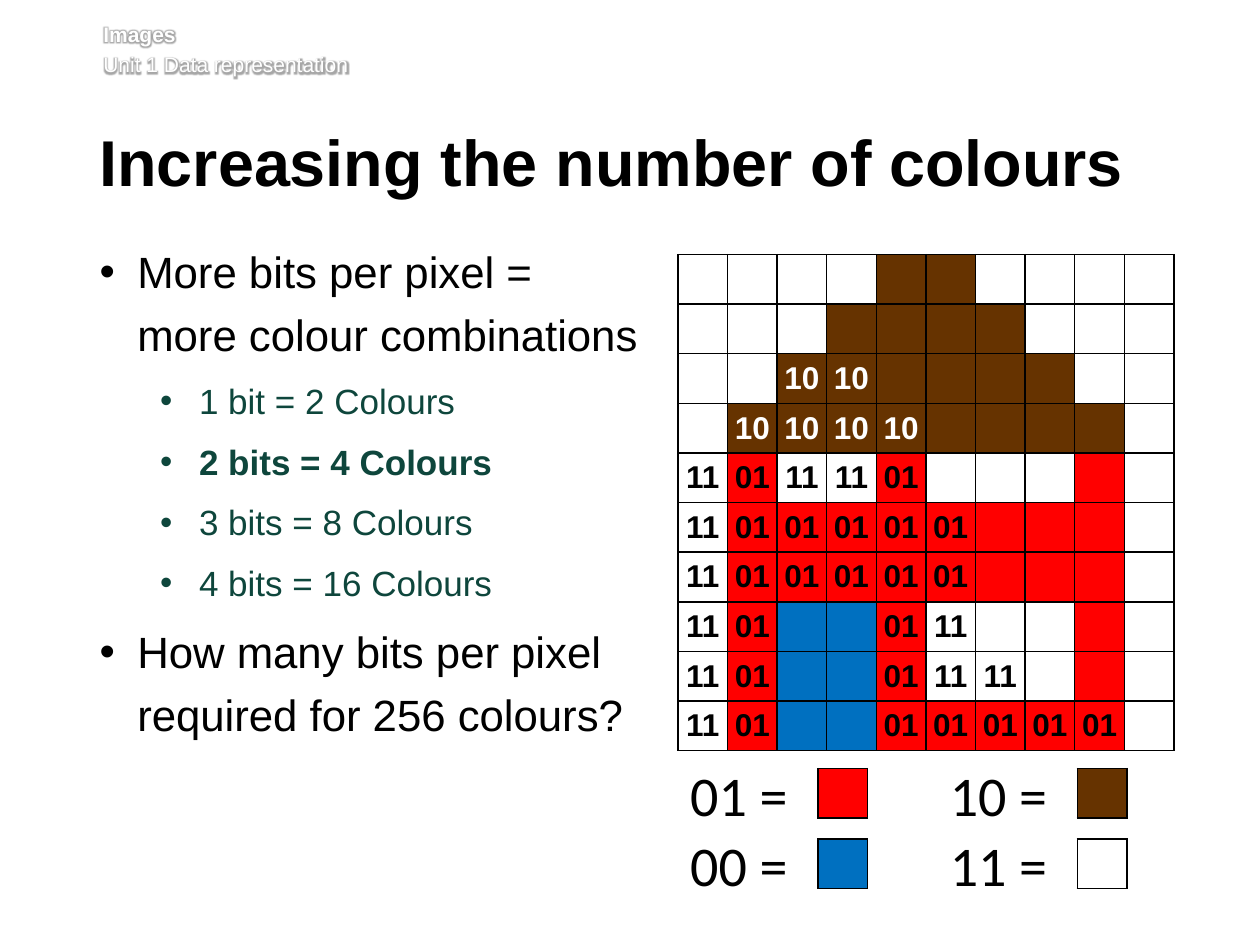
"""Build a slide on bits per pixel, with a coded pixel house and its key."""
from lxml.etree import SubElement as Sub
from pptx import Presentation
from pptx.dml.color import RGBColor as RGB
from pptx.enum.text import MSO_ANCHOR as Anchor, PP_ALIGN as Align
from pptx.oxml.ns import qn
from pptx.util import Inches, Pt

BLACK = RGB(0x00, 0x00, 0x00)
WHITE = RGB(0xFF, 0xFF, 0xFF)
GREEN = RGB(0x0E, 0x46, 0x3C)
RED = RGB(0xFF, 0x00, 0x00)
BROWN = RGB(0x66, 0x33, 0x00)
BLUE = RGB(0x00, 0x70, 0xC0)

HEADER = [("Images", True), ("Unit 1 Data representation", False)]
TITLE = "Increasing the number of colours"
POINTS = [
    (0, "More bits per pixel = more colour combinations", False),
    (1, "1 bit = 2 Colours", False),
    (1, "2 bits = 4 Colours", True),
    (1, "3 bits = 8 Colours", False),
    (1, "4 bits = 16 Colours", False),
    (0, "How many bits per pixel required for 256 colours?", False),
]
LEVELS = [(25, BLACK, 0.3, 0.3), (20, GREEN, 0.79, 0.31)]

CODES = {
    "r": ("01", RED, BLACK),
    "n": ("10", BROWN, WHITE),
    "b": ("00", BLUE, BLACK),
    "w": ("11", WHITE, BLACK),
}
# Capitals show their code; small letters show colour only.
HOUSE = [
    "wwwwnnwwww",
    "wwwnnnnwww",
    "wwNNnnnnww",
    "wNNNNnnnnw",
    "WRWWRwwwrw",
    "WRRRRRrrrw",
    "WRRRRRrrrw",
    "WRbbRWwwrw",
    "WRbbRWWwrw",
    "WRbbRRRRRw",
]
KEY = ["rn", "bw"]
CELL = 0.394


def add_box(slide, place, insets):
    box = slide.shapes.add_textbox(*map(Inches, place))
    frame = box.text_frame
    frame.word_wrap = True
    (frame.margin_left, frame.margin_top,
     frame.margin_right, frame.margin_bottom) = map(Inches, insets)
    return frame


def add_para(frame, index):
    return frame.add_paragraph() if index else frame.paragraphs[0]


def add_run(para, text, size, color, bold=False, face="Arial"):
    run = para.add_run()
    run.text = text
    font = run.font
    font.size, font.bold, font.name = Pt(size), bold, face
    font.color.rgb = color
    return run


def add_glow(run):
    props = run.font._element
    effects = Sub(props, qn("a:effectLst"))
    props.find(qn("a:solidFill")).addnext(effects)
    glow = Sub(effects, qn("a:glow"), rad="63500")
    color = Sub(glow, qn("a:srgbClr"), val=str(BLACK))
    Sub(color, qn("a:alpha"), val="35000")


def add_bullet(para, left, hang):
    props = para._p.get_or_add_pPr()
    props.set("marL", str(Inches(left)))
    props.set("indent", str(-Inches(hang)))
    Sub(props, qn("a:buFont"), typeface="Arial")
    Sub(props, qn("a:buChar"), char="•")


def add_edges(cell):
    props = cell._tc.get_or_add_tcPr()
    for side in "LRTB":
        line = Sub(props, qn(f"a:ln{side}"), w=str(Pt(1)))
        fill = Sub(line, qn("a:solidFill"))
        Sub(fill, qn("a:srgbClr"), val=str(BLACK))


def add_grid(slide, left, top, rows):
    high, wide = len(rows), len(rows[0])
    table = slide.shapes.add_table(
        high, wide, Inches(left), Inches(top),
        Inches(wide * CELL), Inches(high * CELL)).table
    table.first_row = table.horz_banding = False
    for r, row in enumerate(rows):
        table.rows[r].height = Inches(CELL)
        for c, mark in enumerate(row):
            table.columns[c].width = Inches(CELL)
            cell = table.cell(r, c)
            code, fill, ink = CODES[mark.lower()]
            add_edges(cell)
            cell.fill.solid()
            cell.fill.fore_color.rgb = fill
            cell.margin_left = cell.margin_right = 0
            cell.margin_top = cell.margin_bottom = 0
            cell.vertical_anchor = Anchor.MIDDLE
            para = cell.text_frame.paragraphs[0]
            para.alignment = Align.CENTER
            if mark.isupper():
                add_run(para, code, 18, ink, True)


def main():
    deck = Presentation()
    deck.slide_width, deck.slide_height = Inches(10), Inches(7.5)
    slide = deck.slides.add_slide(deck.slide_layouts[6])

    frame = add_box(slide, (0.82, 0.17, 8.82, 0.49), (0, 0, 0, 0.05))
    for i, (text, bold) in enumerate(HEADER):
        para = add_para(frame, i)
        para.space_before = Pt(2.9 if i else 0)
        add_glow(add_run(para, text, 12, WHITE, bold))

    frame = add_box(slide, (0.79, 0.99, 8.55, 0.73), (0, 0.05, 0.1, 0.05))
    para = frame.paragraphs[0]
    para.line_spacing = Pt(39)
    add_run(para, TITLE, 37, BLACK, True)

    frame = add_box(slide, (0.79, 1.86, 4.37, 3.78), (0, 0, 0.1, 0.05))
    for i, (level, text, bold) in enumerate(POINTS):
        size, color, left, hang = LEVELS[level]
        para = add_para(frame, i)
        para.level = level
        para.line_spacing = 1.2
        para.space_before = Pt(6 if i else 0)
        add_bullet(para, left, hang)
        add_run(para, text, size, color, bold)

    for r, row in enumerate(KEY):
        for c, mark in enumerate(row):
            x, y = 5.38 + 2.06 * c, 5.95 + 0.56 * r
            frame = add_box(slide, (x, y, 1.03, 0.7), (0.1, 0.05, 0.1, 0.05))
            frame.vertical_anchor = Anchor.MIDDLE
            add_run(frame.paragraphs[0], f"{CODES[mark][0]} =", 32, BLACK,
                    face="Calibri")
            add_grid(slide, x + 1.11, y + 0.15, [mark])

    add_grid(slide, 5.38, 2.02, HOUSE)
    deck.save("out.pptx")


if __name__ == "__main__":
    main()
